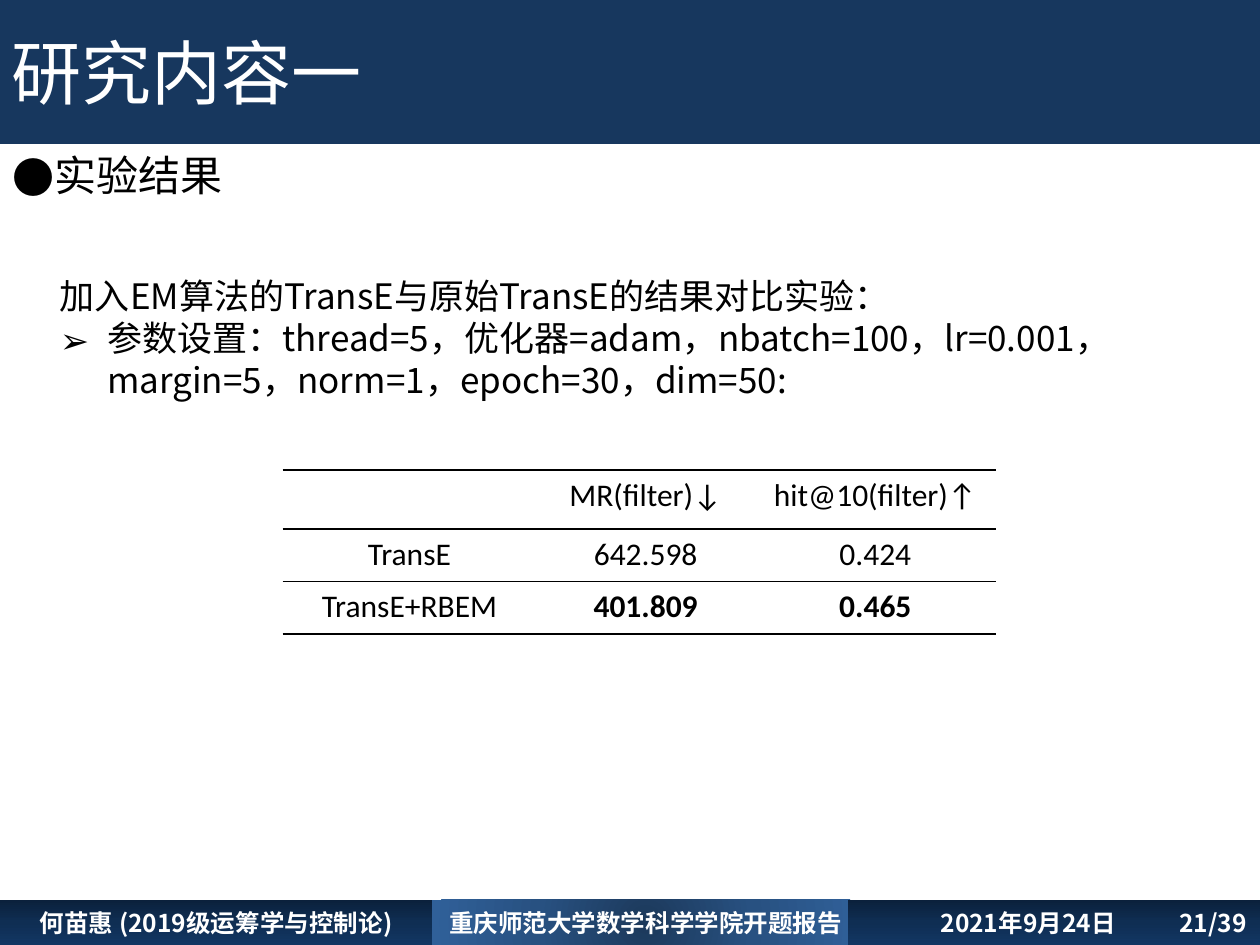
from dataclasses import dataclass

from lxml.etree import SubElement
from pptx import Presentation
from pptx.dml.color import RGBColor
from pptx.enum.shapes import MSO_SHAPE as Shape
from pptx.enum.text import MSO_ANCHOR as Anchor, MSO_AUTO_SIZE as AutoSize, PP_ALIGN as Align
from pptx.oxml import parse_xml
from pptx.oxml.ns import nsdecls, qn
from pptx.util import Pt


@dataclass(frozen=True)
class Theme:
    cjk: str = "Noto Sans CJK SC"
    latin: str = "Calibri"
    navy: str = "17375E"
    white: str = "FFFFFF"
    black: str = "000000"
    dark_bar: tuple = ("0B203B", "0F2E53", "123663")
    light_bar: tuple = ("1C395B", "285181", "306099")
    title: int = 40
    heading: int = 24
    body: int = 20
    table: int = 18
    footer: int = 14


THEME = Theme()
LINEAR = '<a:lin ang="5400000" scaled="0"/>'
RADIAL = '<a:path path="circle"><a:fillToRect l="50000" t="50000" r="50000" b="50000"/></a:path>'
PLAIN_TABLE_STYLE = "{2D5ABB26-0587-4C30-8999-92F81FD0307C}"

RESULTS = [
    ["", "MR(filter)↓", "hit@10(filter)↑"],
    ["TransE", "642.598", "0.424"],
    ["TransE+RBEM", "401.809", "0.465"],
]
COLUMN_WIDTHS = [145, 125, 137.5]
ROW_HEIGHTS = [33.8, 30, 30]
RULE_WIDTHS = [1, 1, 0.5, 1]


def place(element, left, top, width, height):
    element.left, element.top = Pt(left), Pt(top)
    element.width, element.height = Pt(width), Pt(height)


def format_runs(paragraph, size, color, face=THEME.cjk, bold=False):
    for run in paragraph.runs:
        font = run.font
        font.size, font.bold, font.name = Pt(size), bold, face
        font.color.rgb = RGBColor.from_string(color)
        east_asian = SubElement(run._r.rPr, qn("a:ea"))
        east_asian.set("typeface", THEME.cjk)


def set_bullet(paragraph, char=None, indent=0):
    props = paragraph._p.get_or_add_pPr()
    props.set("marL", str(Pt(indent)))
    props.set("indent", str(-Pt(indent)))
    if char:
        SubElement(props, qn("a:buFont")).set("typeface", THEME.cjk)
        SubElement(props, qn("a:buChar")).set("char", char)
    else:
        SubElement(props, qn("a:buNone"))


def set_gradient(shape, colors, direction):
    shape.fill.gradient()
    stops = "".join(
        f'<a:gs pos="{i * 50000}"><a:srgbClr val="{color}"/></a:gs>'
        for i, color in enumerate(colors)
    )
    gradient = parse_xml(
        f'<a:gradFill {nsdecls("a")} rotWithShape="1"><a:gsLst>{stops}</a:gsLst>{direction}</a:gradFill>'
    )
    props = shape._element.spPr
    props.replace(props.find(qn("a:gradFill")), gradient)


def add_title(slide, text):
    title = slide.shapes.title
    place(title, -0.7, -0.7, 720.7, 83)
    title.fill.solid()
    title.fill.fore_color.rgb = RGBColor.from_string(THEME.navy)
    frame = title.text_frame
    frame.text = text
    frame.auto_size, frame.vertical_anchor = AutoSize.NONE, Anchor.MIDDLE
    frame.paragraphs[0].alignment = Align.LEFT
    format_runs(frame.paragraphs[0], THEME.title, THEME.white)


def fill_list(body, box, size, items):
    """Each item is (text, bullet, indent)."""
    place(body, *box)
    frame = body.text_frame
    frame.text = "\n".join(text for text, _, _ in items)
    frame.auto_size, frame.vertical_anchor = AutoSize.NONE, Anchor.TOP
    for paragraph, (_, bullet, indent) in zip(frame.paragraphs, items):
        paragraph.space_before = Pt(0)
        paragraph.line_spacing = Pt(size * 1.2)
        set_bullet(paragraph, bullet, indent)
        format_runs(paragraph, size, THEME.black)


def draw_rules(cell, top, bottom):
    props = cell._tc.get_or_add_tcPr()
    for i, (side, width) in enumerate([("L", 0), ("R", 0), ("T", top), ("B", bottom)]):
        paint = (f'<a:solidFill><a:srgbClr val="{THEME.black}"/></a:solidFill>'
                 if width else "<a:noFill/>")
        props.insert(i, parse_xml(
            f'<a:ln{side} {nsdecls("a")} w="{Pt(width)}">{paint}</a:ln{side}>'))


def add_results_table(slide, left, top):
    table = slide.shapes.add_table(
        len(RESULTS), len(RESULTS[0]), Pt(left), Pt(top),
        Pt(sum(COLUMN_WIDTHS)), Pt(sum(ROW_HEIGHTS))).table
    table.first_row = table.horz_banding = False
    table._tbl.tblPr.find(qn("a:tableStyleId")).text = PLAIN_TABLE_STYLE
    for column, width in zip(table.columns, COLUMN_WIDTHS):
        column.width = Pt(width)
    for r, values in enumerate(RESULTS):
        table.rows[r].height = Pt(ROW_HEIGHTS[r])
        for c, value in enumerate(values):
            cell = table.cell(r, c)
            cell.text = value
            cell.fill.solid()
            cell.fill.fore_color.rgb = RGBColor.from_string(THEME.white)
            draw_rules(cell, RULE_WIDTHS[r], RULE_WIDTHS[r + 1])
            paragraph = cell.text_frame.paragraphs[0]
            paragraph.alignment = Align.CENTER
            best = r == len(RESULTS) - 1 and c > 0
            format_runs(paragraph, THEME.table, THEME.black, THEME.latin, best)


def add_footer_part(slide, left, width, text, colors, direction):
    part = slide.shapes.add_shape(Shape.RECTANGLE, Pt(left), Pt(514), Pt(width), Pt(26))
    part.shadow.inherit = False
    part.line.fill.background()
    set_gradient(part, colors, direction)
    frame = part.text_frame
    frame.text = text
    frame.word_wrap, frame.vertical_anchor = True, Anchor.MIDDLE
    frame.paragraphs[0].alignment = Align.CENTER
    format_runs(frame.paragraphs[0], THEME.footer, THEME.white, bold=True)
    return frame


def set_tab(frame, inset, position):
    """Start the text at the inset and its second part at the tab stop."""
    frame.margin_left, frame.margin_right = Pt(inset), Pt(2)
    paragraph = frame.paragraphs[0]
    paragraph.alignment = Align.LEFT
    tabs = SubElement(paragraph._p.get_or_add_pPr(), qn("a:tabLst"))
    tab = SubElement(tabs, qn("a:tab"))
    tab.set("pos", str(Pt(position)))
    tab.set("algn", "l")


def main():
    deck = Presentation()
    deck.slide_width, deck.slide_height = Pt(720), Pt(540)
    slide = deck.slides.add_slide(deck.slide_layouts[3])
    heading, experiment = list(slide.placeholders)[1:]

    # Title band
    add_title(slide, "研究内容一")

    # Heading and experiment settings
    fill_list(heading, (0, 82, 669, 36), THEME.heading, [("实验结果", "●", 22.5)])
    fill_list(experiment, (27, 153.5, 683.5, 80), THEME.body, [
        ("加入EM算法的TransE与原始TransE的结果对比实验：", None, 0),
        ("参数设置：thread=5，优化器=adam，nbatch=100，lr=0.001，"
         "margin=5，norm=1，epoch=30，dim=50:", "➢", 27),
    ])

    # Results
    add_results_table(slide, 161.5, 268.5)

    # Footer: author, event, date and page
    add_footer_part(slide, 0, 247, "何苗惠 (2019级运筹学与控制论)", THEME.dark_bar, LINEAR)
    add_footer_part(slide, 247, 244, "重庆师范大学数学科学学院开题报告", THEME.light_bar, RADIAL)
    date_page = add_footer_part(slide, 484.5, 235.5, "2021年9月24日\t21/39", THEME.dark_bar, LINEAR)
    set_tab(date_page, 53, 136.5)

    deck.save("out.pptx")


if __name__ == "__main__":
    main()
